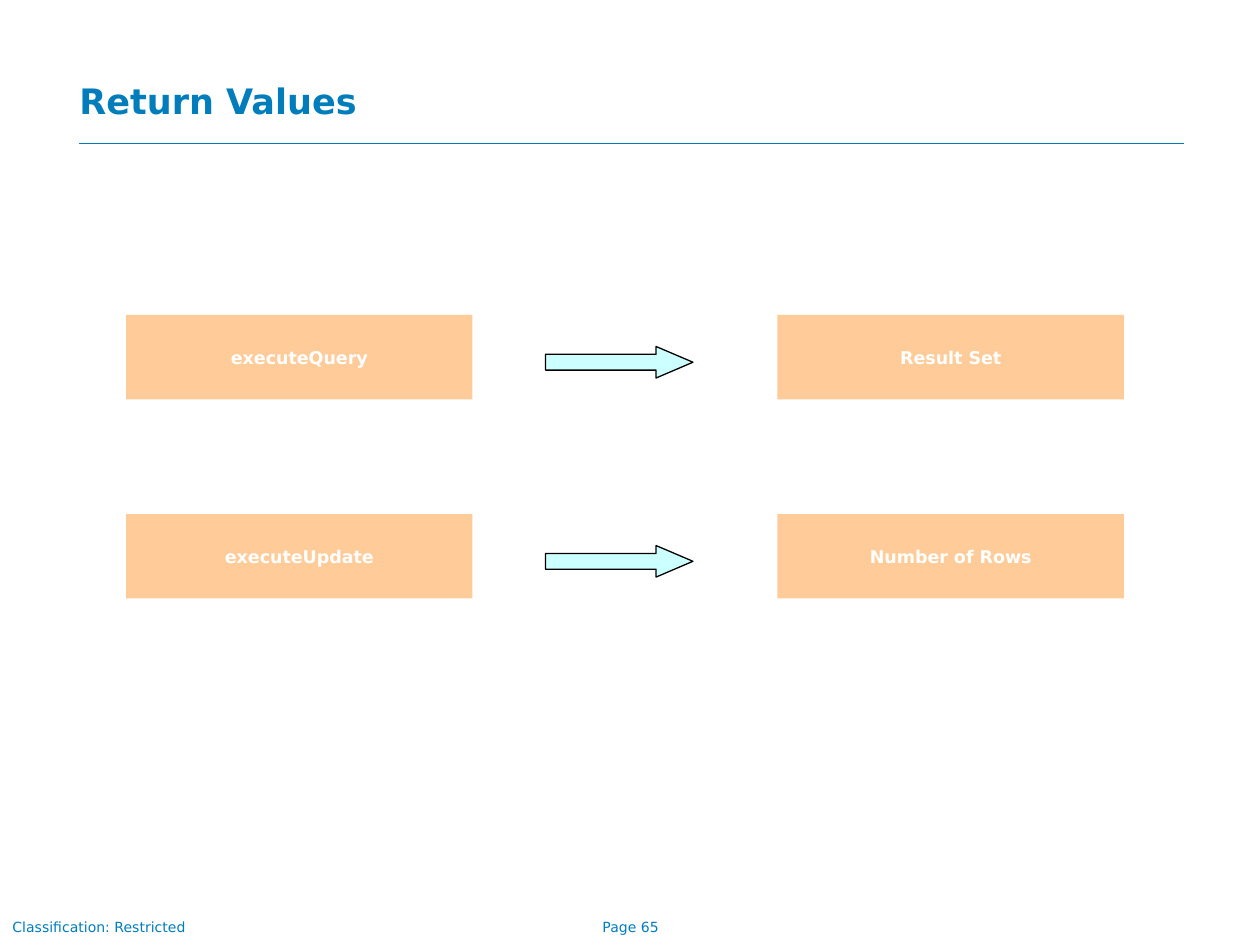
from dataclasses import dataclass

from lxml.etree import SubElement
from pptx import Presentation
from pptx.dml.color import RGBColor
from pptx.enum.shapes import MSO_CONNECTOR, MSO_SHAPE
from pptx.enum.text import MSO_ANCHOR, PP_ALIGN
from pptx.oxml.ns import qn
from pptx.slide import Slide
from pptx.text.text import TextFrame
from pptx.util import Inches, Pt

FONT = "DejaVu Sans"
BLUE = RGBColor(0x00, 0x7D, 0xBA)
PEACH = RGBColor(0xFF, 0xCC, 0x99)
CYAN = RGBColor(0xCC, 0xFF, 0xFF)
BLACK = RGBColor(0x00, 0x00, 0x00)
WHITE = RGBColor(0xFF, 0xFF, 0xFF)

METHOD_LEFT, ARROW_LEFT, RESULT_LEFT = 1, 4.33, 6.17
BOX_WIDTH, BOX_HEIGHT = 2.75, 0.67
FIRST_ROW_TOP, ROW_STEP = 2.5, 1.58
ARROW_DROP = 0.25


@dataclass(frozen=True)
class ReturnValue:
    method: str
    result: str


@dataclass(frozen=True)
class FooterNote:
    text: str
    left: float
    width: float
    align: PP_ALIGN
    wrap: bool


RETURN_VALUES = (
    ReturnValue("executeQuery", "Result Set"),
    ReturnValue("executeUpdate", "Number of Rows"),
)
FOOTER_NOTES = (
    FooterNote("Page 65", 4.3, 1.41, PP_ALIGN.CENTER, True),
    FooterNote("Classification: Restricted", 0, 1.58, PP_ALIGN.LEFT, False),
)


def write(frame: TextFrame, text: str, size: float, color: RGBColor,
          align: PP_ALIGN, bold: bool = False) -> None:
    frame.text = text
    paragraph = frame.paragraphs[0]
    paragraph.alignment = align
    font = paragraph.runs[0].font
    font.name, font.size, font.bold = FONT, Pt(size), bold
    font.color.rgb = color


def draw_heading(slide: Slide) -> None:
    rule = slide.shapes.add_connector(
        MSO_CONNECTOR.STRAIGHT, Inches(0.63), Inches(1.14), Inches(9.4), Inches(1.14))
    rule.line.color.rgb = BLUE
    rule.line.width = Pt(0.5)
    SubElement(rule._element.spPr, qn("a:effectLst"))

    title = slide.shapes.title
    title.left, title.top = Inches(0.63), Inches(0.63)
    title.width, title.height = Inches(8.78), Inches(0.51)
    frame = title.text_frame
    frame.margin_left = frame.margin_right = frame.margin_top = frame.margin_bottom = 0
    frame.vertical_anchor = MSO_ANCHOR.TOP
    write(frame, "Return Values", 20, BLUE, PP_ALIGN.LEFT, bold=True)


def draw_footer_note(slide: Slide, note: FooterNote) -> None:
    box = slide.shapes.add_textbox(
        Inches(note.left), Inches(7.24), Inches(note.width), Inches(0.23))
    box.text_frame.word_wrap = note.wrap
    write(box.text_frame, note.text, 8, BLUE, note.align)


def draw_box(slide: Slide, text: str, left: float, top: float) -> None:
    box = slide.shapes.add_shape(
        MSO_SHAPE.RECTANGLE, Inches(left), Inches(top), Inches(BOX_WIDTH), Inches(BOX_HEIGHT))
    box.shadow.inherit = False
    box.fill.solid()
    box.fill.fore_color.rgb = PEACH
    box.line.fill.background()
    box.text_frame.word_wrap = False
    box.text_frame.vertical_anchor = MSO_ANCHOR.MIDDLE
    write(box.text_frame, text, 10, WHITE, PP_ALIGN.CENTER, bold=True)


def draw_arrow(slide: Slide, top: float) -> None:
    arrow = slide.shapes.add_shape(
        MSO_SHAPE.RIGHT_ARROW, Inches(ARROW_LEFT), Inches(top), Inches(1.17), Inches(0.25))
    arrow.adjustments[0] = 0.5
    arrow.adjustments[1] = 1.17
    arrow.shadow.inherit = False
    arrow.fill.solid()
    arrow.fill.fore_color.rgb = CYAN
    arrow.line.color.rgb = BLACK
    arrow.line.width = Pt(0.75)


def main() -> None:
    presentation = Presentation()
    presentation.slide_width, presentation.slide_height = Inches(10), Inches(7.5)
    slide = presentation.slides.add_slide(presentation.slide_layouts[5])
    draw_heading(slide)
    for note in FOOTER_NOTES:
        draw_footer_note(slide, note)
    for row, value in enumerate(RETURN_VALUES):
        top = FIRST_ROW_TOP + row * ROW_STEP
        draw_box(slide, value.method, METHOD_LEFT, top)
        draw_box(slide, value.result, RESULT_LEFT, top)
        draw_arrow(slide, top + ARROW_DROP)
    presentation.save("out.pptx")


if __name__ == "__main__":
    main()
